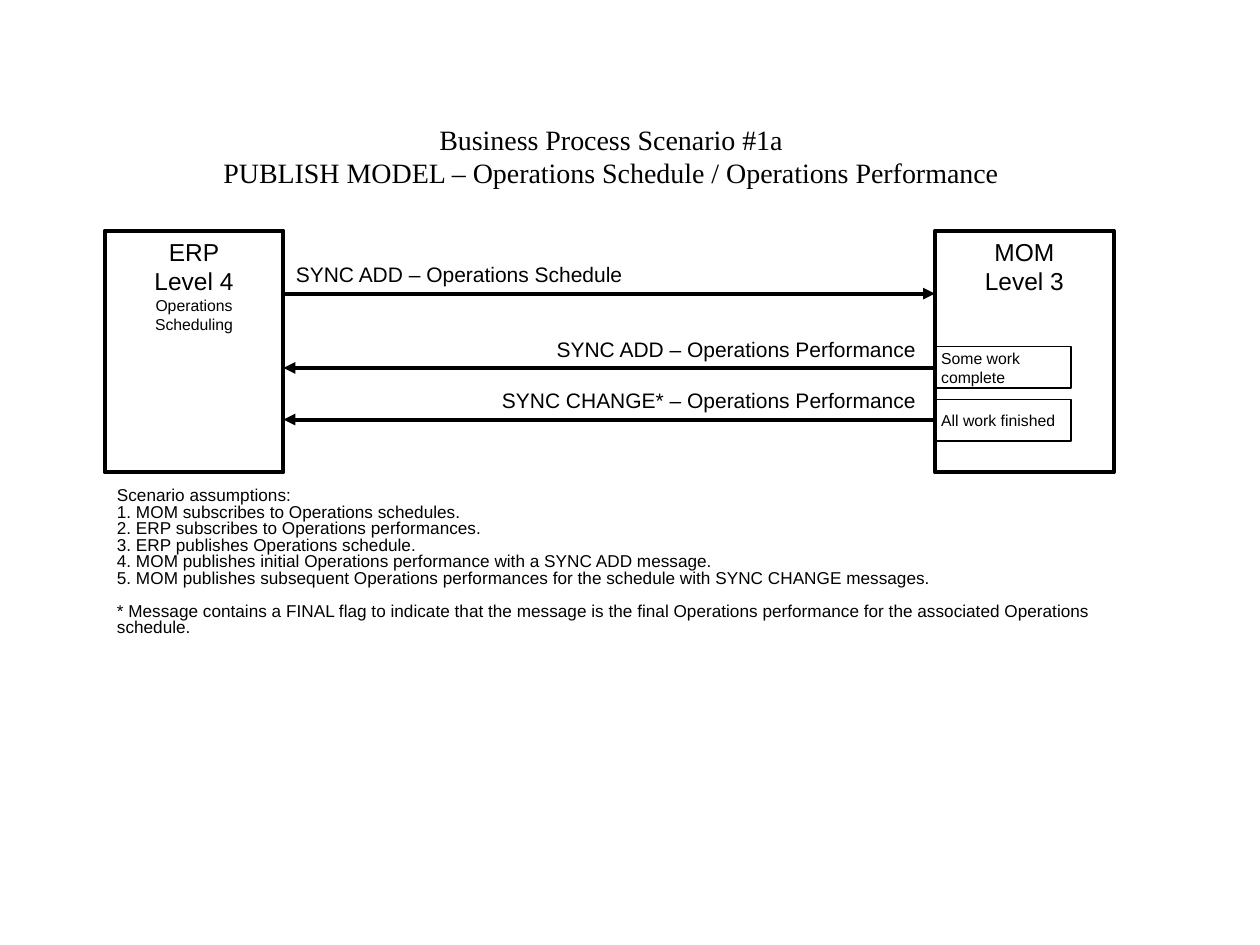
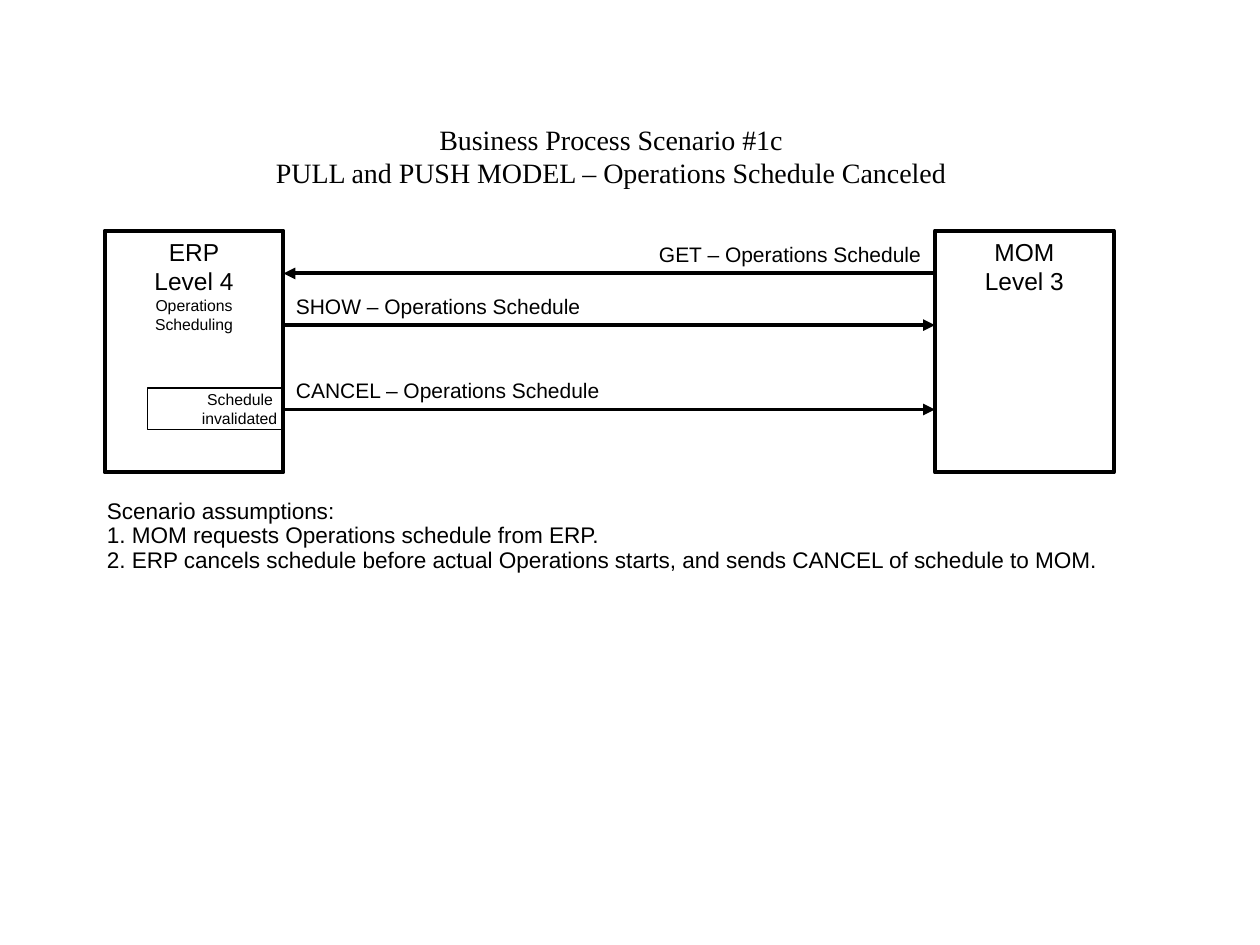
import pptx
import pptx.dml.color
import pptx.enum.shapes
import pptx.enum.text
import pptx.oxml.ns
import pptx.util
from lxml import etree
from pptx.util import Inches

BLACK = "000000"
WHITE = "FFFFFF"
BODY_FONT = "Arial"
TITLE_FONT = "Times New Roman"
THICK, THIN = 2.25, 0.75
LEFT = pptx.enum.text.PP_ALIGN.LEFT
CENTER = pptx.enum.text.PP_ALIGN.CENTER
RIGHT = pptx.enum.text.PP_ALIGN.RIGHT
MIDDLE = pptx.enum.text.MSO_ANCHOR.MIDDLE
TOP = pptx.enum.text.MSO_ANCHOR.TOP
FIT_SHAPE = pptx.enum.text.MSO_AUTO_SIZE.SHAPE_TO_FIT_TEXT
NO_FIT = pptx.enum.text.MSO_AUTO_SIZE.NONE

ERP_LEFT, MOM_LEFT = 0.83, 7.42
SYSTEM_TOP, SYSTEM_WIDTH, SYSTEM_HEIGHT = 1.83, 1.42, 1.92
ERP_RIGHT = ERP_LEFT + SYSTEM_WIDTH
EVENT_WIDTH, EVENT_HEIGHT = 1.08, 0.33
LABEL_HEIGHT = 0.3
TITLE_CENTER = 4.85


def color(value):
    """Turn a hex string into a colour."""
    return pptx.dml.color.RGBColor.from_string(value)


def write(frame, lines, size, font=BODY_FONT, align=LEFT, spacing=None,
          anchor=TOP, wrap=True, fit=NO_FIT, side=0.1):
    """Fill a text frame; a line may be a (text, size, space before) tuple."""
    frame.word_wrap = wrap
    frame.auto_size = fit
    frame.vertical_anchor = anchor
    frame.margin_left = frame.margin_right = Inches(side)
    frame.margin_top = frame.margin_bottom = Inches(0.05)
    for index, line in enumerate(lines):
        text, points, before = line if isinstance(line, tuple) else (line, size, 0)
        para = frame.paragraphs[0] if index == 0 else frame.add_paragraph()
        para.alignment = align
        para.space_before = pptx.util.Pt(before)
        if spacing:
            para.line_spacing = spacing
        span = para.add_run()
        span.text = text
        span.font.size = pptx.util.Pt(points)
        span.font.name = font
        span.font.color.rgb = color(BLACK)


def add_title(page, lines, width):
    """Move and format the title placeholder, centred over the diagram."""
    title = page.shapes.title
    title.left, title.top = Inches(TITLE_CENTER - width / 2), Inches(0.92)
    title.width, title.height = Inches(width), Inches(0.64)
    write(title.text_frame, lines, 16, font=TITLE_FONT, align=CENTER,
          wrap=False, fit=FIT_SHAPE)


def add_text(page, left, top, width, height, lines, size, **style):
    """Add a text box."""
    box = page.shapes.add_textbox(Inches(left), Inches(top),
                                  Inches(width), Inches(height))
    write(box.text_frame, lines, size, **style)


def add_box(page, left, top, width, height, lines, size, line, fill=None, **style):
    """Add an outlined rectangle with text."""
    box = page.shapes.add_shape(pptx.enum.shapes.MSO_SHAPE.RECTANGLE, Inches(left),
                                Inches(top), Inches(width), Inches(height))
    box.shadow.inherit = False
    if fill:
        box.fill.solid()
        box.fill.fore_color.rgb = color(fill)
    else:
        box.fill.background()
    box.line.color.rgb = color(BLACK)
    box.line.width = pptx.util.Pt(line)
    write(box.text_frame, lines, size, **style)


def add_systems(page, fill=None):
    """Add the ERP and MOM boxes."""
    systems = [(ERP_LEFT, ["ERP", "Level 4", ("Operations Scheduling", 9, 0)]),
               (MOM_LEFT, ["MOM", "Level 3"])]
    for left, lines in systems:
        add_box(page, left, SYSTEM_TOP, SYSTEM_WIDTH, SYSTEM_HEIGHT, lines, 14,
                THICK, fill=fill, align=CENTER)


def add_event(page, left, top, lines, align=LEFT):
    """Add a small event box inside a system box."""
    add_box(page, left, top, EVENT_WIDTH, EVENT_HEIGHT, lines, 9, THIN,
            align=align, anchor=MIDDLE, wrap=False, side=0.05)


def add_message(page, y, text, width, to_erp=False, right=7.37):
    """Add an arrow between the systems with its label above the sender's end."""
    arrow = page.shapes.add_connector(
        pptx.enum.shapes.MSO_CONNECTOR.STRAIGHT, Inches(ERP_RIGHT), Inches(y),
        Inches(MOM_LEFT), Inches(y))
    arrow.line.color.rgb = color(BLACK)
    arrow.line.width = pptx.util.Pt(THICK)
    end = "a:headEnd" if to_erp else "a:tailEnd"
    etree.SubElement(arrow.line._get_or_add_ln(), pptx.oxml.ns.qn(end), type="triangle")
    etree.SubElement(arrow._element.spPr, pptx.oxml.ns.qn("a:effectLst"))
    left = right - width if to_erp else ERP_RIGHT
    add_text(page, left, y - LABEL_HEIGHT, width, LABEL_HEIGHT, [text], 12,
             align=RIGHT if to_erp else LEFT, wrap=False, fit=FIT_SHAPE)


def build_publish(page):
    """Build the publish scenario."""
    add_title(page, ["Business Process Scenario #1a",
                     "PUBLISH MODEL – Operations Schedule / Operations Performance"], 6.36)
    add_systems(page)
    add_message(page, 2.33, "SYNC ADD – Operations Schedule", 2.8)
    add_message(page, 2.92, "SYNC ADD – Operations Performance", 3.06, to_erp=True)
    add_message(page, 3.33, "SYNC CHANGE* – Operations Performance", 3.49, to_erp=True)
    add_text(page, 0.83, 3.83, 8, 1.75, [
        "Scenario assumptions:",
        "1. MOM subscribes to Operations schedules.",
        "2. ERP subscribes to Operations performances.",
        "3. ERP publishes Operations schedule.",
        "4. MOM publishes initial Operations performance with a SYNC ADD message.",
        "5. MOM publishes subsequent Operations performances for the schedule "
        "with SYNC CHANGE messages.",
        ("* Message contains a FINAL flag to indicate that the message is the final "
         "Operations performance for the associated Operations schedule.", 9.8, 9.4),
    ], 9.8, spacing=0.8)
    add_event(page, MOM_LEFT, 2.75, ["Some work", "complete"])
    add_event(page, MOM_LEFT, 3.17, ["All work finished"])


def build_cancel(page):
    """Build the canceled schedule scenario."""
    add_title(page, ["Business Process Scenario #1c",
                     "PULL and PUSH MODEL – Operations Schedule Canceled"], 5.54)
    add_systems(page, fill=WHITE)
    add_text(page, 0.75, 3.92, 8.75, 1, [
        "Scenario assumptions:",
        "1. MOM requests Operations schedule from ERP.",
        "2. ERP cancels schedule before actual Operations starts, "
        "and sends CANCEL of schedule to MOM.",
    ], 12.9, spacing=0.9)
    add_message(page, 3.25, "CANCEL – Operations Schedule", 2.62)
    add_event(page, ERP_RIGHT - EVENT_WIDTH, 3.08, ["Schedule ", "invalidated"], align=RIGHT)
    add_message(page, 2.58, "SHOW – Operations Schedule", 2.46)
    add_message(page, 2.17, "GET – Operations Schedule", 2.28, to_erp=True, right=7.41)


def main():
    """Build and save the deck."""
    deck = pptx.Presentation()
    deck.slide_width, deck.slide_height = Inches(10), Inches(7.5)
    for build in (build_publish, build_cancel):
        build(deck.slides.add_slide(deck.slide_layouts[5]))
    deck.save("out.pptx")


main()
